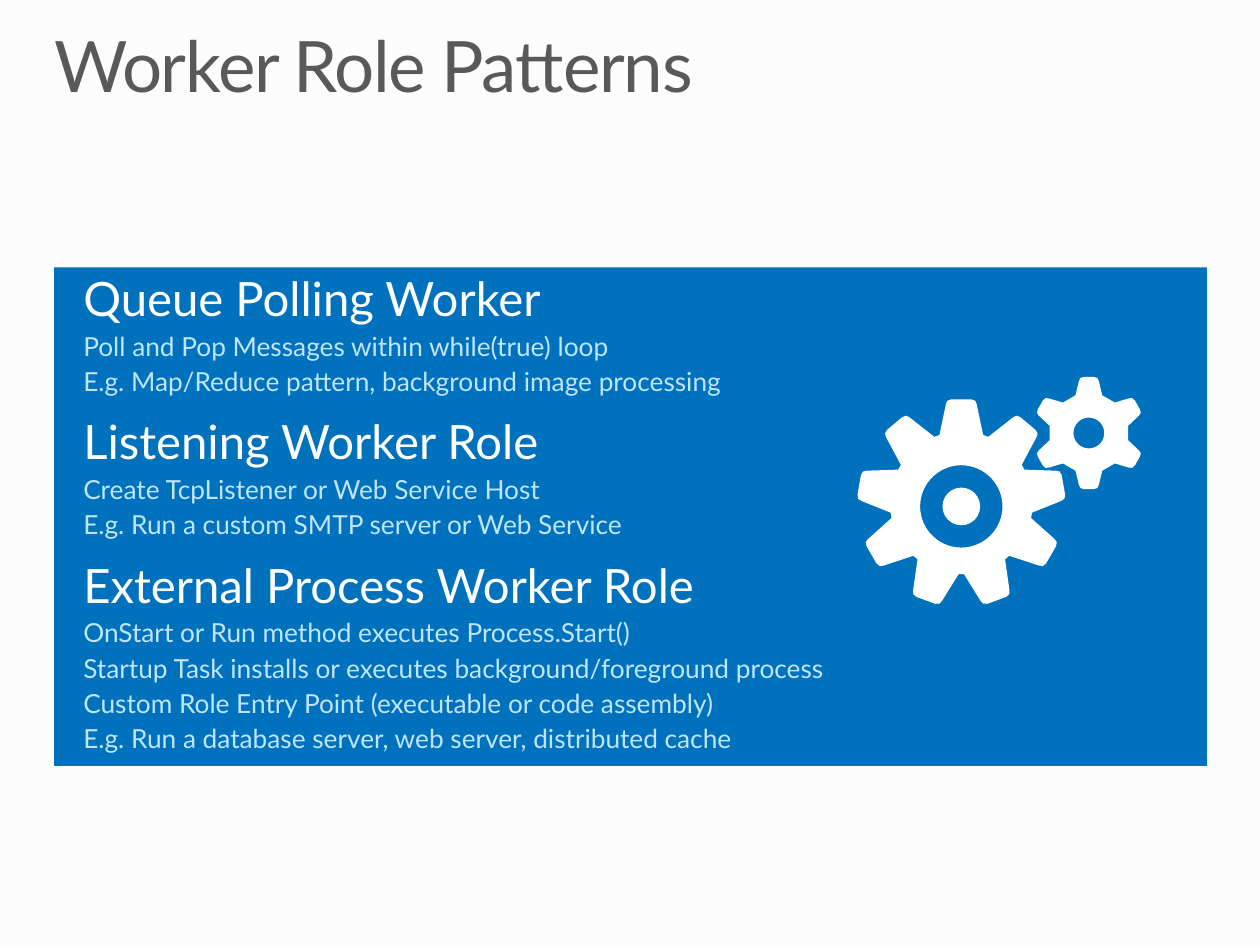
from dataclasses import dataclass
from math import cos, pi, sin

from pptx import Presentation
from pptx.dml.color import RGBColor
from pptx.enum.shapes import MSO_SHAPE
from pptx.enum.text import MSO_ANCHOR
from pptx.util import Cm, Pt

RECT, OVAL = MSO_SHAPE.RECTANGLE, MSO_SHAPE.OVAL
TOP = MSO_ANCHOR.TOP


@dataclass(frozen=True)
class Theme:
    font: str = "Lato"
    back: str = "FCFCFC"
    panel: str = "0071BC"
    gear: str = "FFFFFF"
    title: tuple = (40.5, "595959")
    head: tuple = (27, "FFFFFF")
    item: tuple = (15, "BFE5FF")


THEME = Theme()

TOPICS = [
    ("Queue Polling Worker", [
        "Poll and Pop Messages within while(true) loop",
        "E.g. Map/Reduce pattern, background image processing",
    ]),
    ("Listening Worker Role", [
        "Create TcpListener or Web Service Host",
        "E.g. Run a custom SMTP server or Web Service",
    ]),
    ("External Process Worker Role", [
        "OnStart or Run method executes Process.Start()",
        "Startup Task installs or executes background/foreground process",
        "Custom Role Entry Point (executable or code assembly)",
        "E.g. Run a database server, web server, distributed cache",
    ]),
]


def paint(shape, color):
    shape.shadow.inherit = False
    shape.fill.solid()
    shape.fill.fore_color.rgb = RGBColor.from_string(color)
    shape.line.fill.background()


def add_form(slide, kind, box, color):
    paint(slide.shapes.add_shape(kind, *map(Cm, box)), color)


def add_frame(slide, box):
    frame = slide.shapes.add_textbox(*map(Cm, box)).text_frame
    frame.word_wrap = True
    frame.vertical_anchor = TOP
    frame.margin_left = frame.margin_right = 0
    frame.margin_top = frame.margin_bottom = 0
    return frame


def add_run(para, text, style):
    size, color = style
    run = para.add_run()
    run.text = text
    run.font.name = THEME.font
    run.font.size = Pt(size)
    run.font.color.rgb = RGBColor.from_string(color)
    return run


def add_title(slide, text):
    para = add_frame(slide, (1.09, 0.64, 23.24, 1.55)).paragraphs[0]
    para.line_spacing = 0.9
    run = add_run(para, text, THEME.title)
    run._r.get_or_add_rPr().set("spc", "-80")


def add_topics(slide, topics):
    frame = add_frame(slide, (1.68, 5.43, 23.24, 9.8))
    lines = []
    for head, items in topics:
        lines.append((head, THEME.head, 9))
        lines += [(item, THEME.item, 2.2) for item in items]
    for index, (text, style, gap) in enumerate(lines):
        para = frame.add_paragraph() if index else frame.paragraphs[0]
        para.space_before = Pt(gap)
        add_run(para, text, style)


def spin(center, points, count):
    x, y = center
    turns = [2 * pi * step / count for step in range(count)]
    return [
        (Cm(x + dx * cos(turn) - dy * sin(turn)),
         Cm(y + dx * sin(turn) + dy * cos(turn)))
        for turn in turns for dx, dy in points
    ]


def add_gear(slide, center, count, half, eye, hole):
    tooth = [(-dx, -dy) for dx, dy in half]
    tooth += [(dx, -dy) for dx, dy in reversed(half)]
    rim = spin(center, tooth, count)
    bore = spin(eye, [(0, -hole)], 60)
    pen = slide.shapes.build_freeform(*rim[0])
    pen.add_line_segments(rim[1:], close=True)
    pen.move_to(*bore[0])
    pen.add_line_segments(bore[1:], close=True)
    paint(pen.convert_to_shape(), THEME.gear)


def main():
    deck = Presentation()
    deck.slide_width, deck.slide_height = Cm(25.4), Cm(19.05)
    slide = deck.slides.add_slide(deck.slide_layouts[6])
    fill = slide.background.fill
    fill.solid()
    fill.fore_color.rgb = RGBColor.from_string(THEME.back)

    add_form(slide, RECT, (1.09, 5.39, 23.24, 10.05), THEME.panel)
    add_title(slide, "Worker Role Patterns")
    add_topics(slide, TOPICS)

    x, y, hub = 19.38, 10.21, 0.38
    big = [(0.44, 1.37), (0.31, 1.99), (0.28, 2.06), (0.2, 2.09)]
    add_gear(slide, (x, 10.14), 9, big, (x, y), 0.83)
    add_form(slide, OVAL, (x - hub, y - hub, 2 * hub, 2 * hub), THEME.gear)
    mid = (21.95, 8.73)
    small = [(0.27, 0.76), (0.2, 1.05), (0.17, 1.11), (0.1, 1.13)]
    add_gear(slide, mid, 6, small, mid, 0.31)
    deck.save("out.pptx")


if __name__ == "__main__":
    main()
